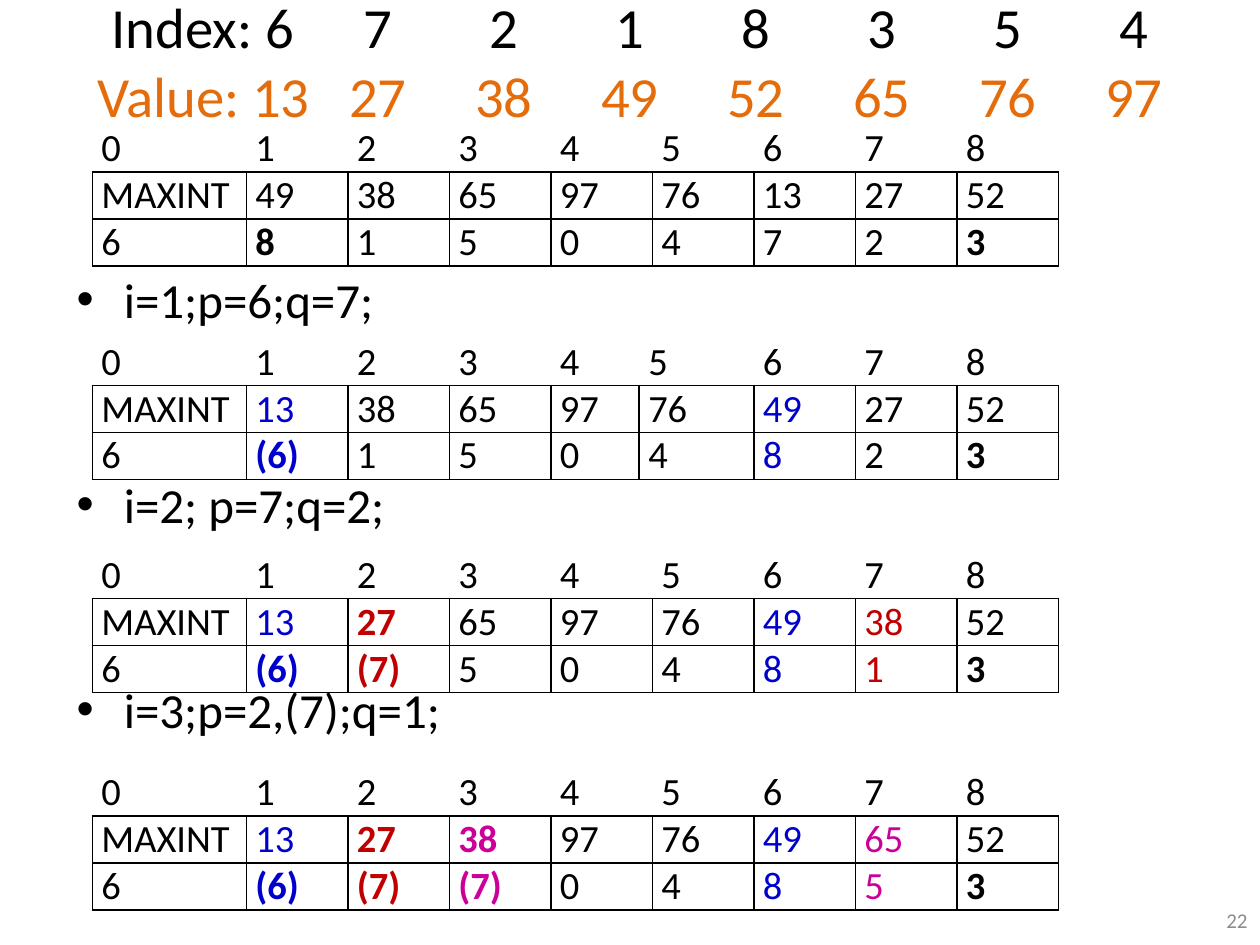
from dataclasses import dataclass, field

from lxml.etree import SubElement
from pptx import Presentation
from pptx.dml.color import RGBColor
from pptx.enum.text import MSO_ANCHOR as Anchor, MSO_AUTO_SIZE as AutoSize, PP_ALIGN as Align
from pptx.oxml.ns import qn
from pptx.util import Pt

FONT = "Calibri"
BLACK, ORANGE, GRAY = "000000", "E46C0A", "8C8C8C"
BLUE, RED, MAGENTA = "0000CC", "C00000", "CC0099"

TABLE_LEFT, ROW_HEIGHT = 52.8, 26.85
FIRST_COLUMN, COLUMN = 88, 58
EVEN_WIDTHS = [FIRST_COLUMN] + [COLUMN] * 8
BULLET_INDENT = 27
TAB_STEP = 72
NO_STYLE = "{2D5ABB26-0587-4C30-8999-92F81FD0307C}"


@dataclass
class LinkedList:
    """One state of the list; a leading * marks a bold cell."""
    top: float
    values: str
    links: str
    column_colors: dict[int, str] = field(default_factory=dict)
    widths: list[float] = field(default_factory=lambda: EVEN_WIDTHS)


FIRST_SWAP = {1: BLUE, 6: BLUE}
SECOND_SWAP = FIRST_SWAP | {2: RED, 7: RED}
THIRD_SWAP = SECOND_SWAP | {3: MAGENTA, 7: MAGENTA}

LISTS = [
    LinkedList(71.4, "MAXINT 49 38 65 97 76 13 27 52", "6 *8 1 5 0 4 7 2 *3"),
    LinkedList(193.4, "MAXINT 13 38 65 97 76 49 27 52", "6 *(6) 1 5 0 4 8 2 *3",
               FIRST_SWAP, [FIRST_COLUMN] + [COLUMN] * 3 + [50.5, 65.5] + [COLUMN] * 3),
    LinkedList(315.2, "MAXINT 13 *27 65 97 76 49 38 52", "6 *(6) *(7) 5 0 4 8 1 *3",
               SECOND_SWAP),
    LinkedList(439.4, "MAXINT 13 *27 *38 97 76 49 65 52", "6 *(6) *(7) *(7) 0 4 8 5 *3",
               THIRD_SWAP),
]
STEPS = ["i=1;p=6;q=7;", "i=2; p=7;q=2;", "i=3;p=2,(7);q=1;"]


def rgb(color: str) -> RGBColor:
    return RGBColor.from_string(color)


def write(paragraph, text: str, *, size: float, color: str = BLACK,
          bold: bool = False, align=Align.LEFT) -> None:
    paragraph.alignment = align
    run = paragraph.add_run()
    run.text = text
    font = run.font
    font.name, font.size, font.bold = FONT, Pt(size), bold
    font.color.rgb = rgb(color)


def place(shape, left: float, top: float, width: float, height: float) -> None:
    shape.left, shape.top, shape.width, shape.height = map(Pt, (left, top, width, height))


def set_tab_stops(paragraph, positions: list[float]) -> None:
    tab_list = SubElement(paragraph._p.get_or_add_pPr(), qn("a:tabLst"))
    for position in positions:
        SubElement(tab_list, qn("a:tab"), pos=str(Pt(position)), algn="l")


def add_title(slide) -> None:
    title = slide.shapes.title
    place(title, 36, -2.2, 648, 73.4)
    frame = title.text_frame
    frame.auto_size, frame.vertical_anchor = AutoSize.NONE, Anchor.MIDDLE
    paragraph = frame.paragraphs[0]
    set_tab_stops(paragraph, [TAB_STEP * number for number in range(2, 9)])
    write(paragraph, "Index: 6\t7\t2\t1\t8\t3\t5\t4", size=32.4, align=Align.CENTER)
    paragraph.add_line_break()
    write(paragraph, "Value: 13\t27\t38\t49\t52\t65\t76\t97", size=32.4, color=ORANGE,
          align=Align.CENTER)


def add_steps(slide) -> None:
    """Bullets, spaced so that one falls below each of the first three tables."""
    box = slide.shapes.add_textbox(Pt(36.7), Pt(71.3), Pt(648), Pt(470.9))
    frame = box.text_frame
    frame.word_wrap, frame.margin_top = True, Pt(82.5)
    for number, step in enumerate(STEPS):
        paragraph = frame.add_paragraph() if number else frame.paragraphs[0]
        paragraph.space_before = Pt(83.6 if number else 0)
        write(paragraph, step, size=28)
        properties = paragraph._p.get_or_add_pPr()
        properties.set("marL", str(Pt(BULLET_INDENT)))
        properties.set("indent", str(Pt(-BULLET_INDENT)))
        SubElement(properties, qn("a:buFont"), typeface="Arial")
        SubElement(properties, qn("a:buChar"), char="•")


def set_borders(cell, visible_sides: str) -> None:
    properties = cell._tc.get_or_add_tcPr()
    for side in "LRTB":
        line = SubElement(properties, qn(f"a:ln{side}"), w=str(Pt(1)))
        if side in visible_sides:
            fill = SubElement(line, qn("a:solidFill"))
            SubElement(fill, qn("a:srgbClr"), val=BLACK)
        else:
            SubElement(line, qn("a:noFill"))


def add_list_table(slide, state: LinkedList) -> None:
    rows = [[str(index) for index in range(9)], state.values.split(), state.links.split()]
    table = slide.shapes.add_table(
        len(rows), len(state.widths), Pt(TABLE_LEFT), Pt(state.top),
        Pt(sum(state.widths)), Pt(ROW_HEIGHT * len(rows))).table
    table.first_row = table.horz_banding = False
    table._tbl.tblPr.find(qn("a:tableStyleId")).text = NO_STYLE
    for column, width in zip(table.columns, state.widths):
        column.width = Pt(width)
    for row_number, texts in enumerate(rows):
        table.rows[row_number].height = Pt(ROW_HEIGHT)
        for column_number, text in enumerate(texts):
            cell = table.cell(row_number, column_number)
            cell.margin_left = cell.margin_right = Pt(5.2)
            cell.margin_top = cell.margin_bottom = 0
            set_borders(cell, "LRTB" if row_number else "B")
            cell.fill.background()
            color = state.column_colors.get(column_number, BLACK) if row_number else BLACK
            write(cell.text_frame.paragraphs[0], text.lstrip("*"), size=22, color=color,
                  bold=text.startswith("*"), align=Align.JUSTIFY)


def add_slide_number(slide) -> None:
    box = slide.shapes.add_textbox(Pt(689), Pt(511.2), Pt(31), Pt(28.8))
    frame = box.text_frame
    frame.word_wrap, frame.vertical_anchor = True, Anchor.MIDDLE
    write(frame.paragraphs[0], "22", size=12, color=GRAY, align=Align.RIGHT)


def main() -> None:
    presentation = Presentation()
    presentation.slide_width, presentation.slide_height = Pt(720), Pt(540)
    slide = presentation.slides.add_slide(presentation.slide_layouts.get_by_name("Title Only"))
    add_title(slide)
    add_steps(slide)
    add_slide_number(slide)
    for state in LISTS:
        add_list_table(slide, state)
    presentation.save("out.pptx")


if __name__ == "__main__":
    main()
